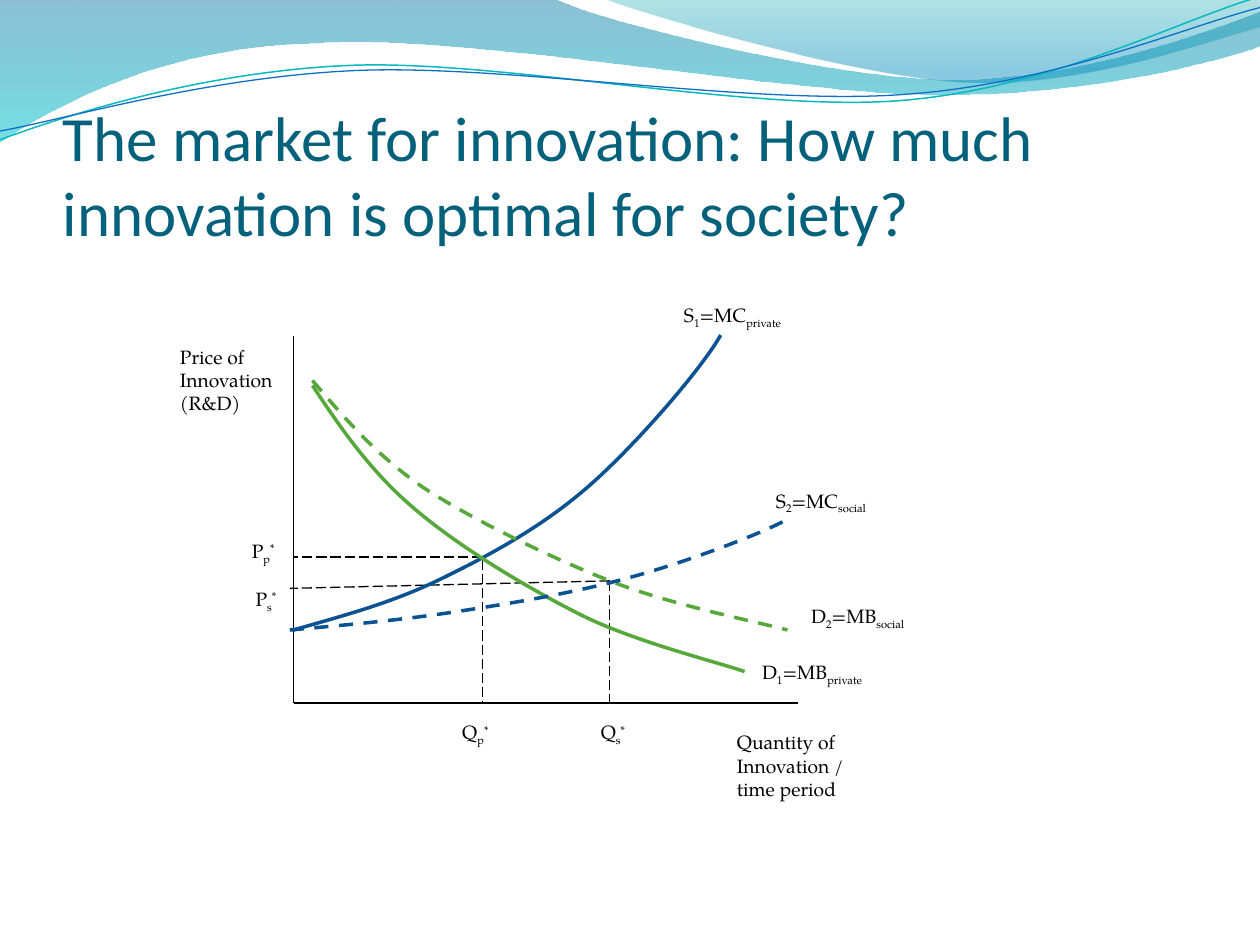
from pptx import Presentation
from pptx.dml.color import RGBColor
from pptx.enum.dml import MSO_LINE as Dash
from pptx.enum.shapes import MSO_CONNECTOR as Conn
from pptx.enum.text import MSO_ANCHOR as Anchor, MSO_AUTO_SIZE as Auto
from pptx.oxml.ns import qn
from pptx.util import Inches, Pt
from lxml.etree import SubElement

COLORS = {
    "title": "04617B", "ink": "000000", "supply": "0B5292", "demand": "55A839",
    "teal": "0AB8BF", "blue": "0F6FC6", "deep": "0074A1", "aqua": "00C6CF",
    "mint": "00A1A9", "sky": "008BBF",
}
SERIF = "TeX Gyre Pagella"
TITLE = "The market for innovation: How much innovation is optimal for society?"

# A path is a start point, then steps: 2 numbers for a line, 6 for a curve.
# Gradient stops are position, colour, opacity in percent.
BANDS = [
    ([(0, 0), (4.4, -0.01), (4.76, 0.17, 6.64, 0.63, 7.58, 0.63),
      (8.53, 0.63, 9.58, 0.26, 10, 0.09), (10.01, 0.36),
      (9.83, 0.44, 8.7, 0.76, 7.46, 0.75), (6.22, 0.75, 3.82, 0.28, 2.57, 0.34),
      (1.29, 0.36, 0.46, 0.83, -0.01, 1.13), (0, 0)],
     [(0, "deep", 45), (1, "aqua", 55)]),
    ([(4.79, -0.01), (5.09, 0.11, 6.82, 0.62, 7.69, 0.65),
      (8.56, 0.69, 9.61, 0.32, 10, 0.21), (10, 0), (4.79, -0.01)],
     [(0, "mint", 30), (0.8, "sky", 45)]),
]
WAVES = [
    ([(0, 1.11), (0.48, 0.93, 1.58, 0.57, 2.77, 0.52),
      (3.95, 0.47, 5.93, 0.89, 7.13, 0.8), (8.33, 0.71, 9.38, 0.15, 9.98, -0.02)],
     "teal", 0.85, None),
    ([(0, 1.04), (0.47, 0.96, 1.64, 0.61, 2.83, 0.56),
      (4.03, 0.51, 5.97, 0.84, 7.17, 0.75), (8.36, 0.67, 9.41, 0.21, 10, 0.06)],
     "blue", 0.75, None),
]
CURVES = [
    ([(2.33, 5), (2.71, 4.89, 3.1, 4.79, 3.49, 4.6),
      (3.88, 4.41, 4.29, 4.19, 4.66, 3.87), (5.03, 3.55, 5.56, 2.94, 5.72, 2.66)],
     "supply", 2, None),
    ([(2.48, 3.06), (2.7, 3.39, 2.93, 3.73, 3.28, 4.03),
      (3.64, 4.34, 4.19, 4.67, 4.63, 4.89), (5.06, 5.1, 5.71, 5.26, 5.91, 5.33)],
     "demand", 2, None),
    ([(2.48, 3.02), (2.73, 3.31, 2.97, 3.6, 3.36, 3.87),
      (3.76, 4.13, 4.36, 4.42, 4.84, 4.61), (5.32, 4.8, 6.03, 4.94, 6.25, 5)],
     "demand", 2, Dash.DASH),
    ([(2.3, 5), (2.75, 4.96, 3.2, 4.92, 3.65, 4.85),
      (4.11, 4.78, 4.58, 4.7, 5.01, 4.58), (5.45, 4.46, 6.06, 4.23, 6.25, 4.12)],
     "supply", 2, Dash.DASH),
]

LEFT, BASE = 2.33, 5.58
AXES = [(LEFT, 2.67, LEFT, BASE), (LEFT, BASE, 6.33, BASE)]
GUIDES = [
    (3.83, 4.44, 3.83, BASE), (3.83, 4.42, LEFT, 4.42),
    (4.84, 4.61, 2.3, 4.67), (4.84, 4.61, 4.84, BASE),
]

NOTES = [  # left, top, width, text
    (5.75, 5.75, 1.17, "Quantity of Innovation / time period"),
    (1.33, 2.69, 0.97, "Price of Innovation (R&D)"),
]
STARS = [  # left, top, width, letter, index
    (1.9, 4.23, 0.4, "P", "p"), (1.93, 4.61, 0.4, "P", "s"),
    (3.57, 5.67, 0.54, "Q", "p"), (4.67, 5.67, 0.54, "Q", "s"),
]
NAMES = [  # left, top, letter, number, value, kind
    (5.33, 2.36, "S", "1", "=MC", "private"), (6.06, 3.83, "S", "2", "=MC", "social"),
    (5.95, 5.19, "D", "1", "=MB", "private"), (6.34, 4.75, "D", "2", "=MB", "social"),
]
SUB, SUP = -25, 30

prs = Presentation()
prs.slide_width, prs.slide_height = Inches(10), Inches(7.5)
slide = prs.slides.add_slide(prs.slide_layouts[6])
shapes = slide.shapes


def rgb(name):
    return RGBColor.from_string(COLORS[name])


def style(line, color, width, dash=None):
    line.color.rgb = rgb(color)
    line.width = Pt(width)
    if dash:
        line.dash_style = dash


def draw(path, closed=False):
    """Add a freeform, turning each six-number step into a Bezier curve."""
    start, *steps = path
    pts = [(Inches(s[i]), Inches(s[i + 1])) for s in steps for i in range(0, len(s), 2)]
    pen = shapes.build_freeform(Inches(start[0]), Inches(start[1]))
    pen.add_line_segments(pts, close=closed)
    shape = pen.convert_to_shape()
    shape.shadow.inherit = False
    nodes = iter(list(shape._element.iter(qn("a:lnTo"))))
    for step in steps:
        node = next(nodes)
        if len(step) == 6:
            curve = node.makeelement(qn("a:cubicBezTo"))
            node.addprevious(curve)
            for part in (node, next(nodes), next(nodes)):
                curve.append(part[0])
                part.getparent().remove(part)
    return shape


def band(path, stops):
    shape = draw(path, True)
    shape.line.fill.background()
    shape.fill.gradient()
    shape.fill.gradient_angle = 270
    for stop, (pos, color, alpha) in zip(shape.fill.gradient_stops, stops):
        stop.position = pos
        stop.color.rgb = rgb(color)
    for node, (_, _, alpha) in zip(shape._element.iter(qn("a:gs")), stops):
        SubElement(node[0], qn("a:alpha")).set("val", str(alpha * 1000))


def curve(path, color, width, dash):
    shape = draw(path)
    shape.fill.background()
    style(shape.line, color, width, dash)


def rule(ends, width, dash=None):
    line = shapes.add_connector(Conn.STRAIGHT, *map(Inches, ends))
    style(line.line, "ink", width, dash)
    SubElement(line._element.spPr, qn("a:effectLst"))


def write(x, y, w, h, runs, size=11, font=SERIF, color="ink"):
    frame = shapes.add_textbox(*map(Inches, (x, y, w, h))).text_frame
    frame.word_wrap = True
    for text, shift in runs:
        run = frame.paragraphs[0].add_run()
        run.text = text
        run.font.size, run.font.name = Pt(size), font
        run.font.color.rgb = rgb(color)
        if shift:
            run._r.get_or_add_rPr().set("baseline", str(shift * 1000))
    return frame


def label(x, y, w, h, runs):
    write(x, y, w, h, runs).auto_size = Auto.SHAPE_TO_FIT_TEXT


for item in BANDS:
    band(*item)
for item in WAVES:
    curve(*item)

head = write(0.5, 0.92, 9, 1.06, [(TITLE, 0)], 36, "Calibri", "title")
head.vertical_anchor = Anchor.BOTTOM
head.margin_left = head.margin_right = head.margin_bottom = 0

for ends in AXES:
    rule(ends, 1)
for ends in GUIDES:
    rule(ends, 0.75, Dash.LONG_DASH)
for item in CURVES:
    curve(*item)

for x, y, w, text in NOTES:
    label(x, y, w, 0.66, [(text, 0)])
for x, y, w, letter, index in STARS:
    label(x, y, w, 0.29, [(letter, 0), (index, SUB), ("*", SUP)])
for x, y, letter, num, value, kind in NAMES:
    label(x, y, 1.16, 0.29, [(letter, 0), (num, SUB), (value, 0), (kind, SUB)])

prs.save("out.pptx")
